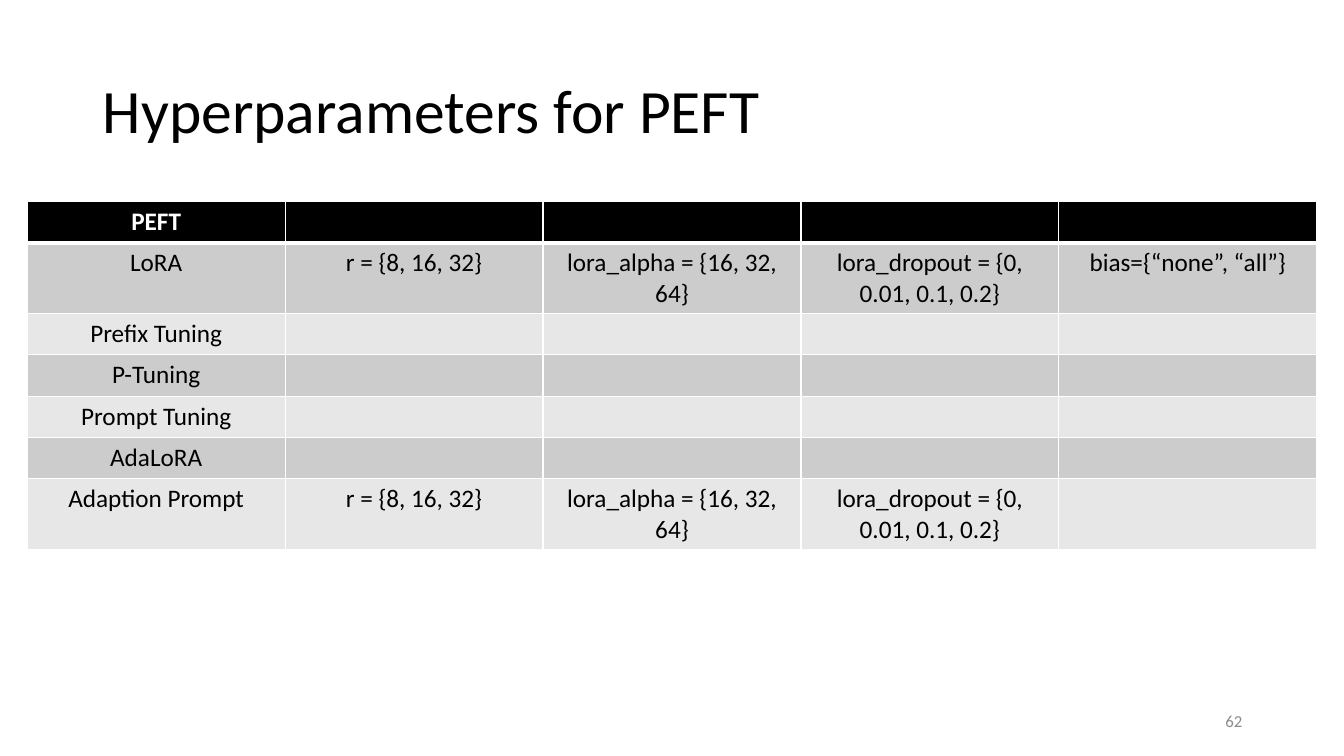
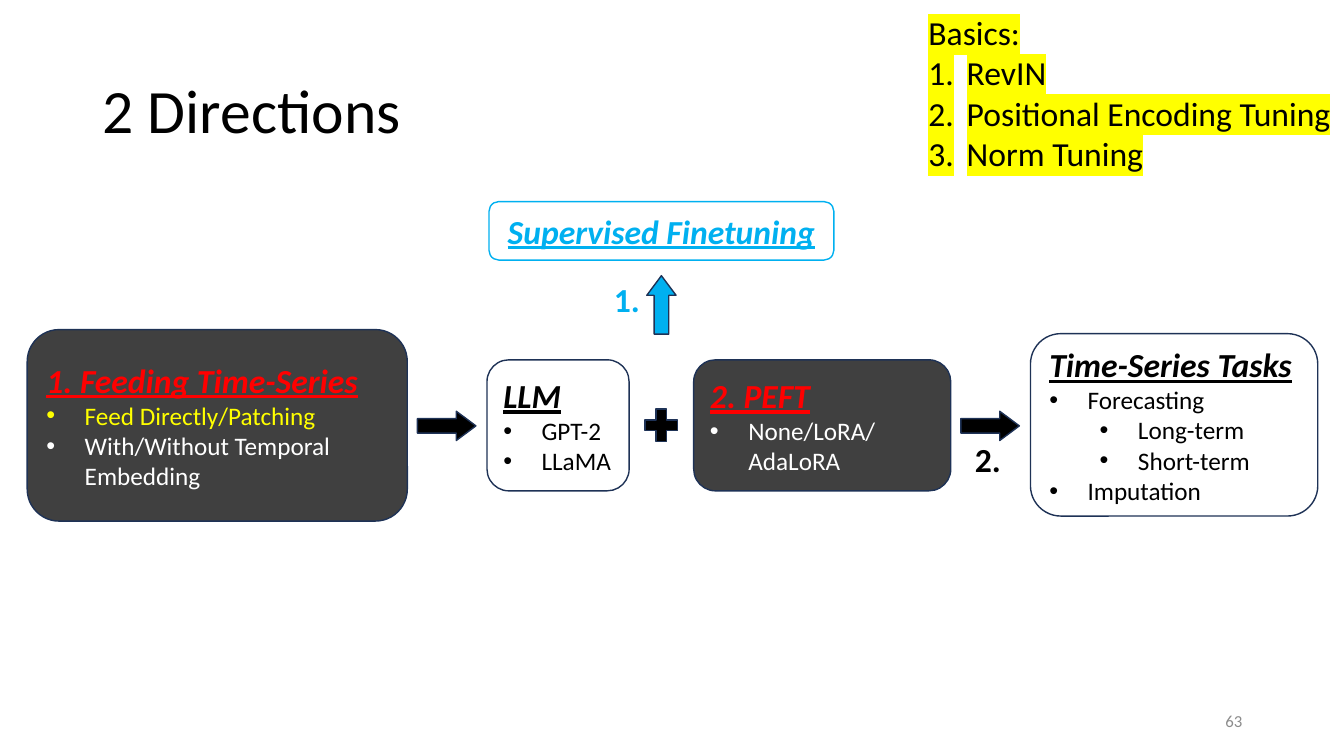
from dataclasses import dataclass
from typing import Optional

from lxml import etree
from pptx import Presentation
from pptx import util as u
from pptx.dml.color import RGBColor
from pptx.enum import shapes, text
from pptx.oxml.ns import qn

HUES = {
    "black": "000000", "white": "FFFFFF", "grey": "8C8C8C", "dark": "404040",
    "navy": "1E3256", "sky": "00B0F0", "red": "FF0000", "yellow": "FFFF00",
    "band": "CCCCCC", "pale": "E7E7E7",
}
FONT = "Calibri"
Box = tuple[float, float, float, float]
KIND = shapes.MSO_SHAPE
ALIGN = text.PP_ALIGN
FIT = text.MSO_AUTO_SIZE
MIDDLE = text.MSO_ANCHOR.MIDDLE
HANG = 0.38  # bullet indent


@dataclass
class Line:
    words: str
    size: int = 18
    hue: str = "black"
    bold: bool = False
    slant: bool = False  # italic and underlined
    mark: str = ""  # "•" for a bullet, "1." for a number
    level: int = 0
    back: str = ""  # highlight


@dataclass
class Card:
    box: Box
    lines: list[Line]
    fill: str = ""
    edge: str = "navy"
    align: ALIGN = ALIGN.LEFT


@dataclass
class Sign:
    kind: KIND
    box: Box
    fill: str = "black"
    turn: int = 0


def shade(name: str) -> RGBColor:
    return RGBColor.from_string(HUES[name])


def inch(box: Box) -> list[u.Length]:
    return [u.Inches(side) for side in box]


# Text
def add_mark(para, line: Line) -> None:
    props = para._p.get_or_add_pPr()
    props.set("marL", str(u.Inches(HANG + 0.5 * line.level)))
    props.set("indent", str(-u.Inches(HANG)))
    if line.mark == "1.":
        etree.SubElement(props, qn("a:buAutoNum"), type="arabicPeriod")
    else:
        etree.SubElement(props, qn("a:buFont"), typeface="Arial")
        etree.SubElement(props, qn("a:buChar"), char=line.mark)


def add_run(para, words: str, line: Line) -> None:
    run = para.add_run()
    run.text = words
    font = run.font
    font.name, font.size = FONT, u.Pt(line.size)
    font.bold, font.italic, font.underline = line.bold, line.slant, line.slant
    font.color.rgb = shade(line.hue)
    if line.back:
        glow = etree.Element(qn("a:highlight"))
        etree.SubElement(glow, qn("a:srgbClr"), val=HUES[line.back])
        run._r.rPr.find(qn("a:solidFill")).addnext(glow)


def write(frame, lines: list[Line], align: ALIGN = ALIGN.LEFT) -> None:
    for index, line in enumerate(lines):
        para = frame.add_paragraph() if index else frame.paragraphs[0]
        para.alignment, para.level = align, line.level
        if line.mark:
            add_mark(para, line)
        for part, words in enumerate(line.words.split("\n")):
            if part:
                para.add_line_break()
            add_run(para, words, line)


def add_label(tree, box: Box, lines: list[Line]) -> None:
    frame = tree.add_textbox(*inch(box)).text_frame
    frame.word_wrap, frame.auto_size = False, FIT.SHAPE_TO_FIT_TEXT
    write(frame, lines)


# Shapes
def add_form(tree, kind: KIND, box: Box, fill: str, edge: str):
    form = tree.add_shape(kind, *inch(box))
    form.shadow.inherit = False
    if fill:
        form.fill.solid()
        form.fill.fore_color.rgb = shade(fill)
    else:
        form.fill.background()
    form.line.color.rgb, form.line.width = shade(edge), u.Pt(1)
    return form


def add_card(tree, card: Card) -> None:
    form = add_form(tree, KIND.ROUNDED_RECTANGLE, card.box, card.fill, card.edge)
    frame = form.text_frame
    frame.word_wrap, frame.vertical_anchor = True, MIDDLE
    write(frame, card.lines, card.align)


def add_sign(tree, sign: Sign) -> None:
    form = add_form(tree, sign.kind, sign.box, sign.fill, "navy")
    form.rotation = sign.turn
    if sign.kind == KIND.RIGHT_ARROW:
        form.adjustments[1] = 0.67


# Table
def add_edges(cell, base: int) -> None:
    props = cell._tc.get_or_add_tcPr()
    for tag, width in (("lnL", 1), ("lnR", 1), ("lnT", 1), ("lnB", base)):
        edge = etree.SubElement(props, qn(f"a:{tag}"), w=str(u.Pt(width)))
        fill = etree.SubElement(edge, qn("a:solidFill"))
        etree.SubElement(fill, qn("a:srgbClr"), val=HUES["white"])


def add_grid(tree, box: Box, rows: list[list[str]]) -> None:
    count = max(len(row) for row in rows)
    grid = tree.add_table(len(rows), count, *inch(box)).table
    for r, row in enumerate(rows):
        grid.rows[r].height = u.Inches(0.41)
        head = r == 0
        fill = "black" if head else ("band" if r % 2 else "pale")
        for c in range(count):
            cell = grid.cell(r, c)
            add_edges(cell, 3 if head else 1)
            cell.fill.solid()
            cell.fill.fore_color.rgb = shade(fill)
            if c < len(row):
                hue = "white" if head else "black"
                write(cell.text_frame, [Line(row[c], hue=hue, bold=head)], ALIGN.CENTER)


# Shared slide frame
def add_slide(prs, title: str, number: int):
    slide = prs.slides.add_slide(prs.slide_layouts[5])
    head = slide.shapes.title
    head.left, head.top, head.width, head.height = inch((0.92, 0.4, 11.5, 1.45))
    frame = head.text_frame
    frame.word_wrap, frame.auto_size, frame.vertical_anchor = True, FIT.NONE, MIDDLE
    write(frame, [Line(title, 44)])
    frame.paragraphs[0].line_spacing = 0.9
    foot = slide.shapes.add_textbox(*inch((9.42, 6.95, 3, 0.4))).text_frame
    foot.word_wrap, foot.vertical_anchor = True, MIDDLE
    write(foot, [Line(str(number), 12, "grey")], ALIGN.RIGHT)
    return slide


def topic(words: str, hue: str = "black") -> Line:
    return Line(words, 24, hue, bold=True, slant=True)


def point(words: str, hue: str = "black", level: int = 0) -> Line:
    return Line(words, hue=hue, mark="•", level=level)


def step(words: str, hue: str = "black") -> Line:
    return Line(words, 24, hue, bold=True)


# Content
LORA = ["r = {8, 16, 32}", "lora_alpha = {16, 32, 64}", "lora_dropout = {0, 0.01, 0.1, 0.2}"]
ROWS = [
    ["PEFT"],
    ["LoRA", *LORA, "bias={“none”, “all”}"],
    ["Prefix Tuning"],
    ["P-Tuning"],
    ["Prompt Tuning"],
    ["AdaLoRA"],
    ["Adaption Prompt", *LORA],
]
CARDS = [
    Card((0.27, 3.27, 3.77, 1.9), [
        topic("1. Feeding Time-Series", "red"),
        point("Feed Directly/Patching", "yellow"),
        point("With/Without Temporal Embedding", "white"),
    ], "dark"),
    Card((4.83, 3.57, 1.41, 1.3), [topic("LLM"), point("GPT-2"), point("LLaMA")]),
    Card((6.88, 3.57, 2.55, 1.3), [
        topic("2. PEFT", "red"), point("None/LoRA/\nAdaLoRA", "white"),
    ], "dark"),
    Card((10.22, 3.31, 2.85, 1.81), [
        topic("Time-Series Tasks"),
        point("Forecasting"),
        point("Long-term", level=1),
        point("Short-term", level=1),
        point("Imputation"),
    ]),
]
SIGNS = [
    Sign(KIND.RIGHT_ARROW, (4.14, 4.08, 0.58, 0.29)),
    Sign(KIND.MATH_PLUS, (6.34, 4, 0.44, 0.44)),
    Sign(KIND.RIGHT_ARROW, (9.53, 4.08, 0.58, 0.29)),
]
BASICS = [Line("Basics:", 24, back="yellow")] + [
    Line(words, 24, mark="1.", back="yellow")
    for words in ("RevIN", "Positional Encoding Tuning", "Norm Tuning")
]


def main() -> None:
    prs = Presentation()
    prs.slide_width, prs.slide_height = u.Inches(13.33), u.Inches(7.5)

    # Table slide
    slide = add_slide(prs, "Hyperparameters for PEFT", 62)
    add_grid(slide.shapes, (0.27, 2, 12.79, 2.87), ROWS)

    # Flow slide
    slide = add_slide(prs, "2 Directions", 63)
    tree = slide.shapes
    for card in CARDS:
        add_card(tree, card)
    for sign in SIGNS:
        add_sign(tree, sign)
    add_label(tree, (9.57, 4.31, 0.46, 0.5), [step("2.")])
    add_label(tree, (9.11, 0.07, 4.22, 1.72), BASICS)

    # Upward branch
    branch = tree.add_group_shape().shapes
    add_card(branch, Card((4.85, 2, 3.42, 0.58), [topic("Supervised Finetuning", "sky")],
                          edge="sky", align=ALIGN.CENTER))
    add_sign(branch, Sign(KIND.RIGHT_ARROW, (6.27, 2.88, 0.58, 0.29), "sky", 270))
    add_label(branch, (5.99, 2.72, 0.46, 0.5), [step("1.", "sky")])

    prs.save("out.pptx")


if __name__ == "__main__":
    main()
